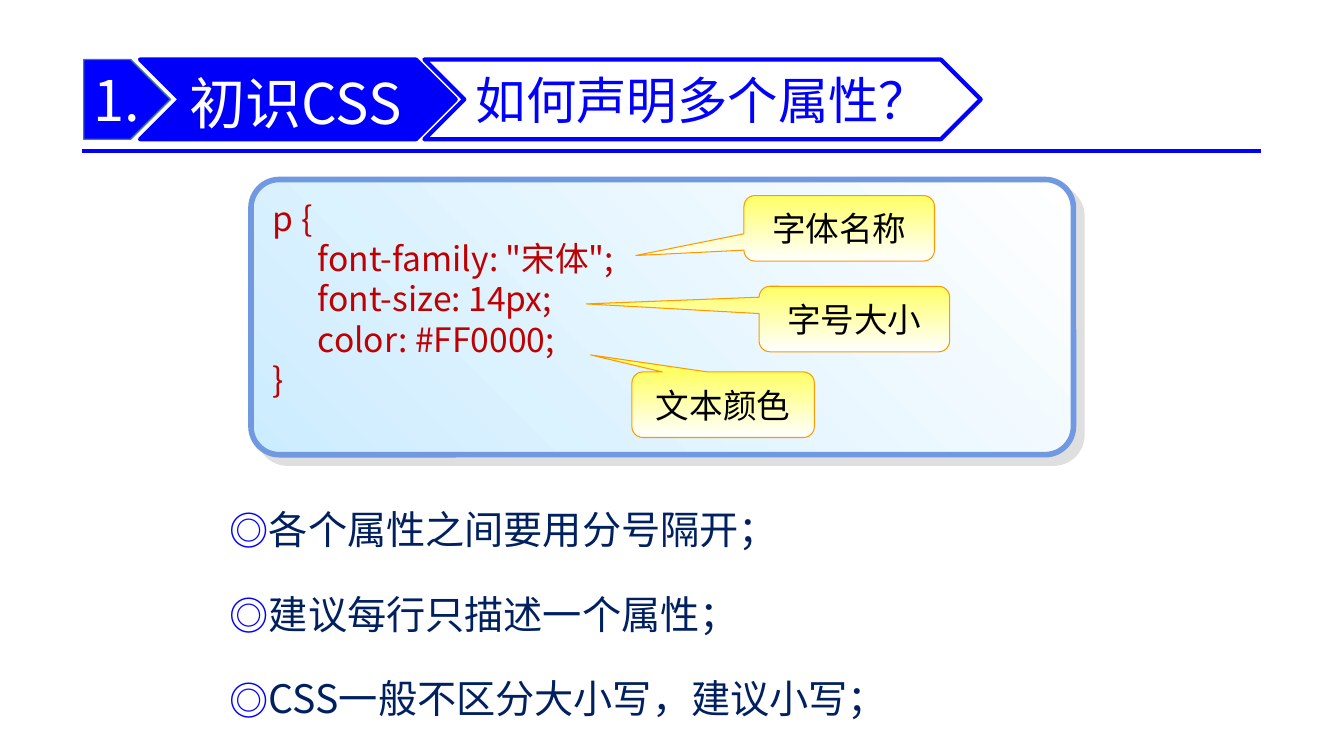
from dataclasses import dataclass

from lxml import etree
from pptx import Presentation
from pptx.dml.color import RGBColor
from pptx.enum.shapes import MSO_CONNECTOR, MSO_SHAPE
from pptx.enum.text import MSO_ANCHOR, MSO_AUTO_SIZE, PP_ALIGN
from pptx.oxml.ns import qn
from pptx.util import Pt

STRAIGHT = MSO_CONNECTOR.STRAIGHT
PENTAGON, CHEVRON = MSO_SHAPE.PENTAGON, MSO_SHAPE.CHEVRON
ROUNDED, CALLOUT = MSO_SHAPE.ROUNDED_RECTANGLE, MSO_SHAPE.ROUNDED_RECTANGULAR_CALLOUT
TOP, MIDDLE = MSO_ANCHOR.TOP, MSO_ANCHOR.MIDDLE
LEFT, CENTER = PP_ALIGN.LEFT, PP_ALIGN.CENTER
NO_AUTOFIT = MSO_AUTO_SIZE.NONE


@dataclass(frozen=True)
class Theme:
    font: str = "Noto Sans CJK SC"
    blue: str = "0000FF"
    chevron_blue: str = "0000FA"
    tag_line: str = "43739E"
    white: str = "FFFFFF"
    black: str = "000000"
    navy: str = "002060"
    code: str = "C00000"
    panel: str = "CCECFF"
    panel_line: str = "7099E2"
    shadow: str = "C0C0C0"
    note: str = "FFFF66"
    note_line: str = "FF9900"
    section_size: int = 40
    title_size: int = 36
    body_size: int = 28
    code_size: int = 24


THEME = Theme()


def rgb(color):
    return RGBColor.from_string(color)


def add_xml(parent, tag, **attributes):
    return etree.SubElement(parent, qn(tag), attributes)


def place(shape, left, top, width, height):
    shape.left, shape.top = Pt(left), Pt(top)
    shape.width, shape.height = Pt(width), Pt(height)


def write(shape, lines, size, color, align=LEFT, anchor=TOP, line_spacing=None,
          space_before=0, insets=(7.2, 3.6, 7.2, 3.6)):
    """Fill a shape with one paragraph per line, all in the same format."""
    frame = shape.text_frame
    frame.text = "\n".join(lines)
    frame.word_wrap = True
    frame.auto_size = NO_AUTOFIT
    frame.vertical_anchor = anchor
    (frame.margin_left, frame.margin_top,
     frame.margin_right, frame.margin_bottom) = map(Pt, insets)
    for paragraph in frame.paragraphs:
        paragraph.alignment = align
        paragraph.space_before = Pt(space_before)
        if line_spacing:
            paragraph.line_spacing = line_spacing
        for run in paragraph.runs:
            run.font.name = THEME.font
            run.font.size = Pt(size)
            run.font.color.rgb = rgb(color)
            add_xml(run.font._element, "a:ea", typeface=THEME.font)
    return frame


def add_box(shapes, kind, box, fill, line, line_width, fade_angle=None):
    """Add a preset shape; with fade_angle its fill fades to white."""
    shape = shapes.add_shape(kind, *map(Pt, box))
    shape.shadow.inherit = False
    if fade_angle is None:
        shape.fill.solid()
        shape.fill.fore_color.rgb = rgb(fill)
    else:
        shape.fill.gradient()
        shape.fill.gradient_angle = fade_angle
        for stop, color in zip(shape.fill.gradient_stops, (fill, THEME.white)):
            stop.color.rgb = rgb(color)
    shape.line.color.rgb = rgb(line)
    shape.line.width = Pt(line_width)
    return shape


def add_header(slide, left, top, width, height):
    """Section number, section name and slide title above a rule."""
    shapes = slide.shapes
    rule_top = top + 65.5
    rule = shapes.add_connector(STRAIGHT, Pt(left), Pt(rule_top),
                                Pt(left + width), Pt(rule_top))
    rule.line.color.rgb = rgb(THEME.blue)
    rule.line.width = Pt(3)
    add_xml(rule._element.spPr, "a:effectLst")

    number = add_box(shapes, PENTAGON, (left + 1.3, top, 62, height),
                     THEME.blue, THEME.tag_line, 1)
    write(number, ["1."], THEME.section_size, THEME.white, anchor=MIDDLE)

    add_box(shapes, CHEVRON, (left + 41.5, top, 225.5, height),
            THEME.chevron_blue, THEME.blue, 3)
    section = shapes.add_textbox(Pt(left - 20.3), Pt(top - 8.7), Pt(343.4), Pt(77.8))
    write(section, ["初识CSS"], THEME.section_size, THEME.white, align=CENTER,
          anchor=MIDDLE, insets=(2.9, 1.4, 0, 1.4))

    title_box = (left + 244.6, top, 397.4, height)
    add_box(shapes, CHEVRON, title_box, THEME.white, THEME.blue, 3)
    title = shapes.title
    place(title, *title_box)
    write(title, ["如何声明多个属性？"], THEME.title_size, THEME.blue,
          align=CENTER, anchor=MIDDLE)
    shapes._spTree.append(title._element)  # in front of its chevron


def add_code_panel(slide, left, top, width, height):
    """Rounded panel with the CSS rule and a callout for each property."""
    group = slide.shapes.add_group_shape().shapes
    panel = add_box(group, ROUNDED, (left, top, width, height),
                    THEME.panel, THEME.panel_line, 4, fade_angle=45)
    panel.adjustments[0] = 0.103
    effects = panel._element.spPr.find(qn("a:effectLst"))
    shadow = add_xml(effects, "a:outerShdw", blurRad="0", dist=str(Pt(8.5)),
                     dir="2700000", algn="ctr", rotWithShape="0")
    shadow_color = add_xml(shadow, "a:srgbClr", val=THEME.shadow)
    add_xml(shadow_color, "a:alpha", val="50000")

    code = group.add_textbox(Pt(left + 8.6), Pt(top + 9.3), Pt(width - 15.8), Pt(152.6))
    declarations = ['font-family: "宋体";', "font-size: 14px;", "color: #FF0000;"]
    frame = write(code, ["p {", *declarations, "}"], THEME.code_size, THEME.code)
    for paragraph in frame.paragraphs[1:-1]:
        paragraph._p.get_or_add_pPr().set("marL", str(Pt(32)))

    callouts = [
        ("字体名称", 352.1, 11.5, 136.1, (-1.068, 0.415)),
        ("字号大小", 362.9, 76.3, 136.1, (-1.407, -0.231)),
        ("文本颜色", 272.1, 137.5, 130.3, (-0.727, -0.761)),
    ]
    for label, x, y, callout_width, tip in callouts:
        callout = add_box(slide.shapes, CALLOUT, (left + x, top + y, callout_width, 46.8),
                          THEME.note, THEME.note_line, 0.75, fade_angle=270)
        for index, value in enumerate((*tip, 0.167)):
            callout.adjustments[index] = value
        write(callout, [label], THEME.code_size, THEME.black, align=CENTER, anchor=MIDDLE)


def add_rules(slide, left, top, width, height):
    """Bulleted list of writing rules."""
    body = slide.placeholders[1]
    place(body, left, top, width, height)
    rules = ["各个属性之间要用分号隔开；", "建议每行只描述一个属性；",
             "CSS一般不区分大小写，建议小写；"]
    frame = write(body, rules, THEME.body_size, THEME.navy,
                  line_spacing=1.5, space_before=10)
    for paragraph in frame.paragraphs:
        properties = paragraph._p.get_or_add_pPr()
        properties.set("marL", str(Pt(18)))
        properties.set("indent", str(-Pt(18)))
        bullet_color = add_xml(properties, "a:buClr")
        add_xml(bullet_color, "a:srgbClr", val=THEME.blue)
        add_xml(properties, "a:buFont", typeface=THEME.font)
        add_xml(properties, "a:buChar", char="◎")


def main():
    presentation = Presentation()
    presentation.slide_width, presentation.slide_height = Pt(960), Pt(540)
    slide = presentation.slides.add_slide(presentation.slide_layouts[1])
    add_header(slide, 58.5, 42.5, 842, 57)
    add_rules(slide, 157, 340.6, 620.6, 122.4)
    add_code_panel(slide, 179.3, 128.2, 587.5, 196.6)
    presentation.save("out.pptx")


if __name__ == "__main__":
    main()
